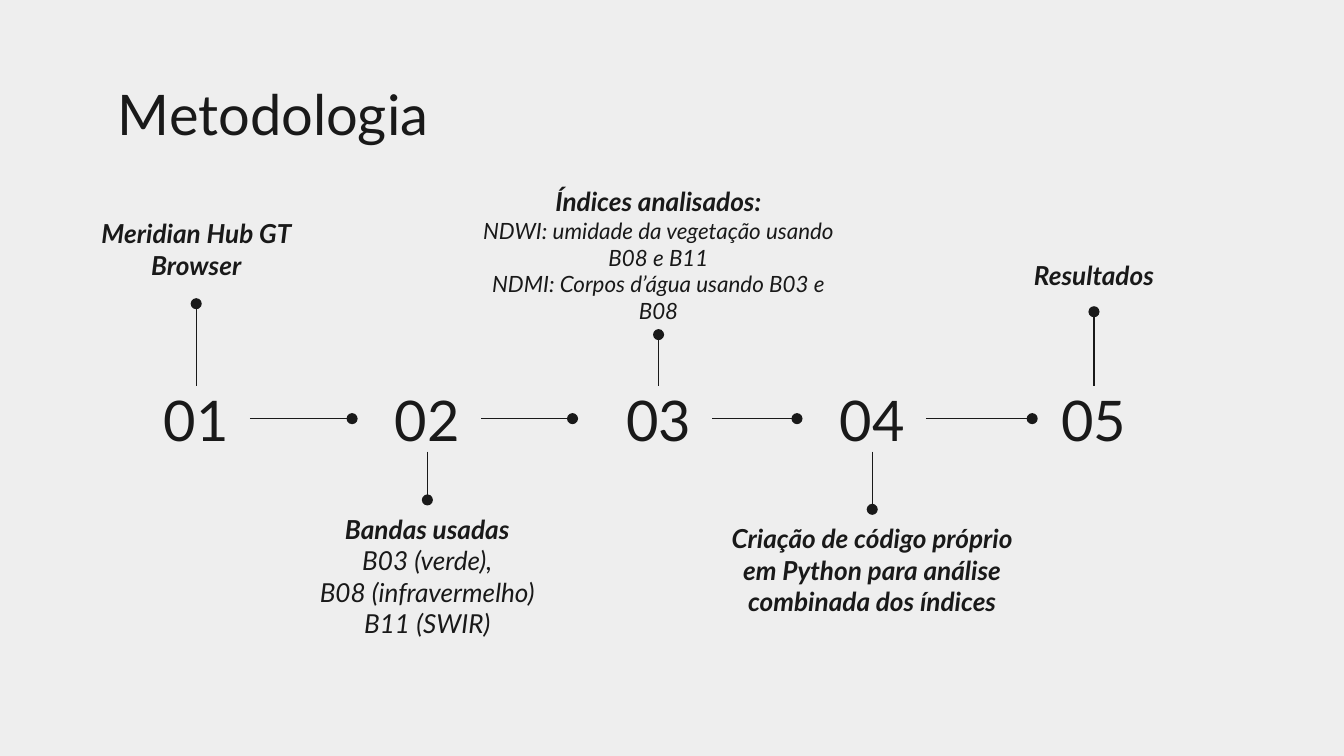
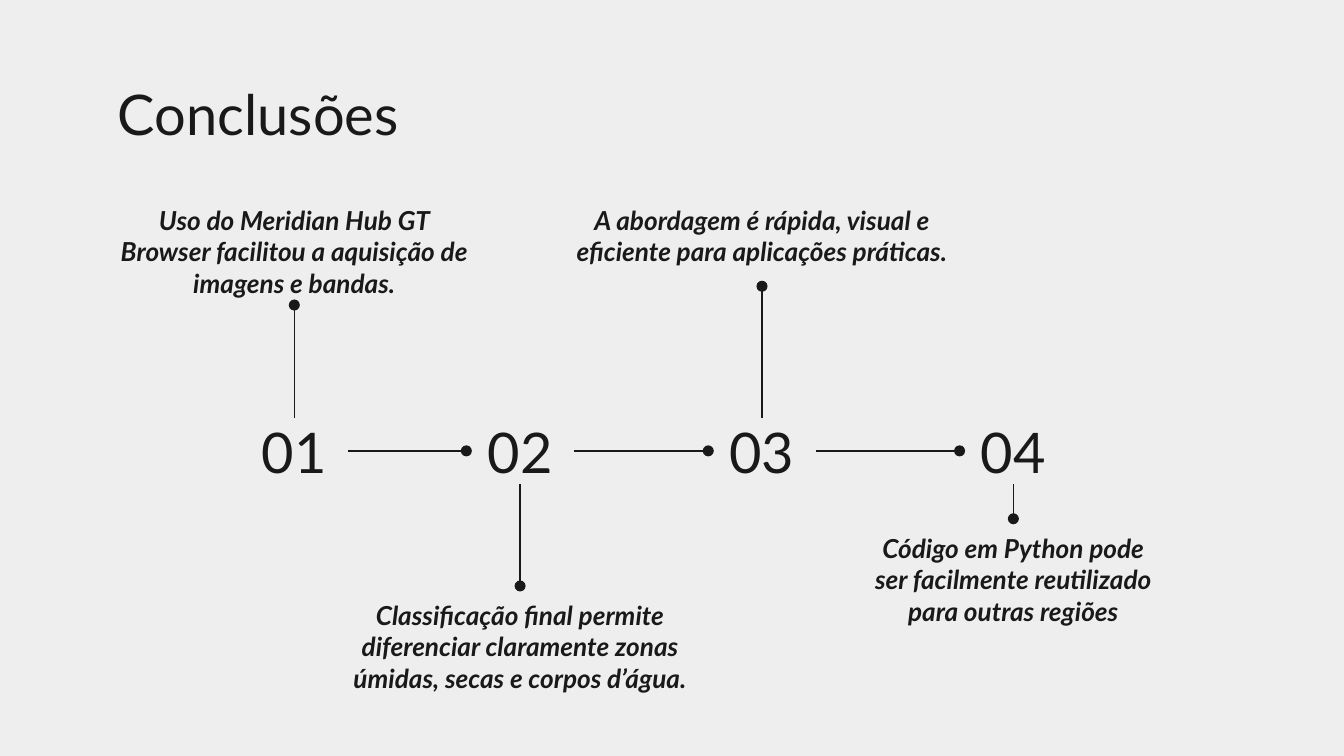
from dataclasses import dataclass

from lxml.etree import SubElement
from pptx import Presentation
from pptx.dml.color import RGBColor
from pptx.enum.shapes import MSO_CONNECTOR
from pptx.enum.text import MSO_ANCHOR, PP_ALIGN
from pptx.oxml.ns import qn
from pptx.util import Inches, Pt

BACKGROUND = RGBColor(0xEE, 0xEE, 0xEE)
INK = RGBColor(0x19, 0x19, 0x19)
FONT = "Lato"
TITLE_SIZE = 30
LABEL_SIZE = 14
NUMBER_WIDTH, NUMBER_HEIGHT = 0.8, 0.49
TOP, LEFT, BOTTOM, RIGHT = range(4)


@dataclass
class Step:
    """One stop of a timeline; lengths in inches, center from the timeline's left."""
    center: float
    above: bool
    stem: float
    width: float
    height: float
    heading: str
    details: tuple = ()
    detail_size: int = LABEL_SIZE
    gap: float = 0  # space between the arriving arrow and the number


METHOD_STEPS = [
    Step(0.4, True, 0.61, 1.88, 0.74, "Meridian Hub GT Browser"),
    Step(2.12, False, 0.36, 3.04, 1.03, "Bandas usadas",
         ("B03 (verde),", "B08 (infravermelho)", "B11 (SWIR)"), gap=0.16),
    Step(3.84, True, 0.38, 2.98, 1.21, "Índices analisados:",
         ("NDWI: umidade da vegetação usando B08 e B11",
          "NDMI: Corpos d’água usando B03 e B08"), detail_size=12, gap=0.24),
    Step(5.43, False, 0.43, 2.4, 1.03,
         "Criação de código próprio em Python para análise combinada dos índices",
         gap=0.16),
    Step(7.08, True, 0.55, 1.74, 0.49, "Resultados", gap=0.06),
]
CONCLUSION_STEPS = [
    Step(0.4, True, 0.84, 2.84, 0.85,
         "Uso do Meridian Hub GT Browser facilitou a aquisição de imagens e bandas."),
    Step(2.08, False, 0.76, 3.21, 0.74,
         "Classificação final permite diferenciar claramente zonas úmidas, "
         "secas e corpos d’água."),
    Step(3.88, True, 0.98, 3.18, 0.71,
         "A abordagem é rápida, visual e eficiente para aplicações práticas."),
    Step(5.75, False, 0.26, 2.4, 1.25,
         "Código em Python pode ser facilmente reutilizado para outras regiões"),
]


def add_text(page, left, top, width, height, lines, anchor=MSO_ANCHOR.TOP,
             align=PP_ALIGN.CENTER):
    """Add a text box; each line is (text, size, bold, italic)."""
    box = page.shapes.add_textbox(Inches(left), Inches(top), Inches(width), Inches(height))
    frame = box.text_frame
    frame.word_wrap = True
    frame.vertical_anchor = anchor
    frame.margin_left = frame.margin_right = Inches(0.1)
    frame.margin_top = frame.margin_bottom = Inches(0.1)
    for index, (text, size, bold, italic) in enumerate(lines):
        para = frame.add_paragraph() if index else frame.paragraphs[0]
        para.text = text
        para.alignment = align
        font = para.font
        font.name, font.size = FONT, Pt(size)
        font.bold, font.italic = bold, italic
        font.color.rgb = INK
    return box


def add_dotted_line(page, start, start_side, end=None, end_side=None, point=(0, 0)):
    """Run a line from a box's side to another box's side, or to a free point."""
    line = page.shapes.add_connector(MSO_CONNECTOR.STRAIGHT, 0, 0, *point)
    line.begin_connect(start, start_side)
    if end is not None:
        line.end_connect(end, end_side)
    line.line.color.rgb = INK
    line.line.width = Pt(0.75)
    SubElement(line.line._get_or_add_ln(), qn("a:tailEnd"), type="oval")
    SubElement(line._element.spPr, qn("a:effectLst"))


def add_step(page, left, top, number, step):
    """Add a number with its label and stem, and return the number's box."""
    center = left + step.center
    number_box = add_text(page, center - NUMBER_WIDTH / 2, top, NUMBER_WIDTH, NUMBER_HEIGHT,
                          [(f"{number:02}", TITLE_SIZE, False, False)], MSO_ANCHOR.MIDDLE)
    if step.above:
        label_top = top - step.stem - step.height
        sides = TOP, BOTTOM
    else:
        label_top = top + NUMBER_HEIGHT + step.stem
        sides = BOTTOM, TOP
    lines = [(step.heading, LABEL_SIZE, True, True)]
    lines += [(detail, step.detail_size, False, True) for detail in step.details]
    label = add_text(page, center - step.width / 2, label_top, step.width, step.height, lines)
    add_dotted_line(page, number_box, sides[0], label, sides[1])
    return number_box


def add_timeline(page, left, top, steps):
    """Place the steps in a row whose numbers start at left, top."""
    previous = None
    for number, step in enumerate(steps, 1):
        number_box = add_step(page, left, top, number, step)
        if previous is not None:
            if step.gap:
                point = (number_box.left - Inches(step.gap),
                         number_box.top + number_box.height // 2)
                add_dotted_line(page, previous, RIGHT, point=point)
            else:
                add_dotted_line(page, previous, RIGHT, number_box, LEFT)
        previous = number_box


def add_timeline_page(deck, title, left, top, steps):
    page = deck.slides.add_slide(deck.slide_layouts[6])
    page.background.fill.solid()
    page.background.fill.fore_color.rgb = BACKGROUND
    add_text(page, 0.78, 0.49, 8.44, 0.63, [(title, TITLE_SIZE, False, False)],
             align=PP_ALIGN.LEFT)
    add_timeline(page, left, top, steps)


def main():
    deck = Presentation()
    deck.slide_width = Inches(10)
    deck.slide_height = deck.slide_width * 9 // 16
    add_timeline_page(deck, "Metodologia", 1.06, 2.87, METHOD_STEPS)
    add_timeline_page(deck, "Conclusões", 1.79, 3.11, CONCLUSION_STEPS)
    deck.save("out.pptx")


if __name__ == "__main__":
    main()
